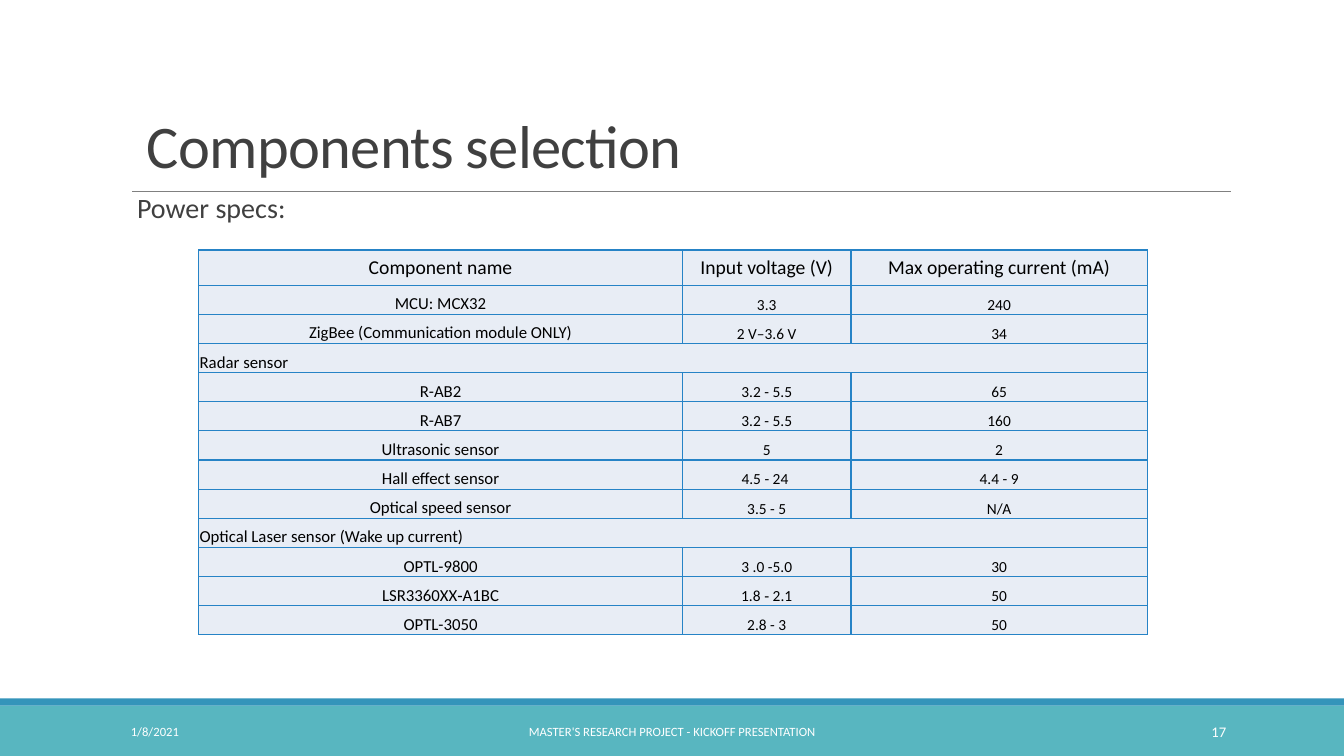
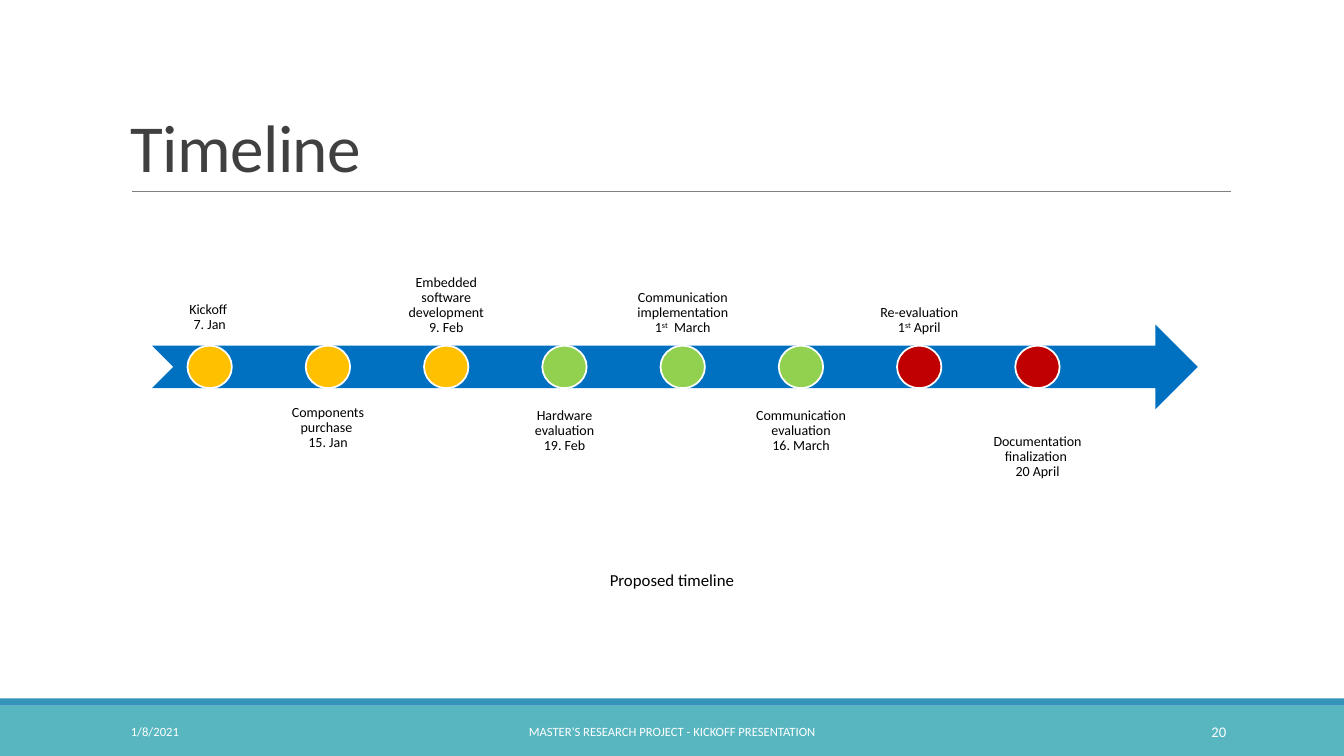
import pptx
import pptx.dml.color
import pptx.enum.shapes
import pptx.enum.text
import pptx.oxml
import pptx.oxml.ns
import pptx.util
from pptx.util import Inches

SHAPE = pptx.enum.shapes.MSO_SHAPE
ANCHOR = pptx.enum.text.MSO_ANCHOR
ALIGN = pptx.enum.text.PP_ALIGN

FONT = "Calibri"
BLACK, WHITE, INK, RULE = "000000", "FFFFFF", "404040", "808080"
TEAL, BLUE = "58B6C0", "3494BA"
CELL_FILL, CELL_BORDER = "E8EDF5", "2683C6"
ARROW, AMBER, GREEN, RED = "0070C0", "FFC000", "92D050", "C00000"

DATE = "1/8/2021"
FOOTER = "MASTER'S RESEARCH PROJECT - KICKOFF PRESENTATION"

# A row with a single entry is a group heading across all columns.
POWER_SPECS = [
    ("Component name", "Input voltage (V)", "Max operating current (mA)"),
    ("MCU: MCX32", "3.3", "240"),
    ("ZigBee (Communication module ONLY)", "2 V–3.6 V", "34"),
    ("Radar sensor",),
    ("R-AB2", "3.2 - 5.5", "65"),
    ("R-AB7", "3.2 - 5.5", "160"),
    ("Ultrasonic sensor", "5", "2"),
    ("Hall effect sensor", "4.5 - 24 ", "4.4 - 9"),
    ("Optical speed sensor", "3.5 - 5", "N/A"),
    ("Optical Laser sensor (Wake up current)",),
    ("OPTL-9800", "3 .0 -5.0", "30"),
    ("LSR3360XX‐A1BC", "1.8 ‐ 2.1", "50"),
    ("OPTL-3050", "2.8 - 3", "50"),
]
COLUMN_WIDTHS = (4.8, 1.67, 2.94)
TABLE_HEIGHT, HEADER_HEIGHT = 3.82, 0.35

# Label (^ encloses superscript), dot colour, vertical shift of the label.
MILESTONES = [
    ("Kickoff \n7. Jan", AMBER, -0.03),
    ("Components purchase \n15. Jan", AMBER, -0.03),
    ("Embedded software development\n9. Feb", AMBER, 0),
    ("Hardware evaluation\n19. Feb", GREEN, 0),
    ("Communication implementation\n1^st^  March", GREEN, 0),
    ("Communication evaluation\n16. March", GREEN, 0),
    ("Re-evaluation\n1^st^ April", RED, 0),
    ("Documentation finalization \n20 April", RED, 0.26),
]
FIRST_LABEL, LAST_LABEL = 1.52, 9.73
LABEL_WIDTH, LABEL_HEIGHT = 1.12, 1
LABELS_ABOVE_END, LABELS_BELOW_START = 3.41, 3.97
DOT_WIDTH, DOT_HEIGHT, DOT_TOP = 0.44, 0.42, 3.43


def rgb(colour):
    return pptx.dml.color.RGBColor.from_string(colour)


def inches(values):
    return [Inches(value) for value in values]


def write(frame, text, size, colour, align=ALIGN.LEFT, line_spacing=None):
    """Fill the first paragraph; line feeds become breaks, ^ encloses superscript."""
    paragraph = frame.paragraphs[0]
    paragraph.alignment = align
    if line_spacing:
        paragraph.line_spacing = line_spacing
    font = paragraph.font
    font.name, font.size = FONT, pptx.util.Pt(size)
    font.color.rgb = rgb(colour)
    for line_index, line in enumerate(text.split("\n")):
        if line_index:
            paragraph.add_line_break()
        for part_index, part in enumerate(line.split("^")):
            run = paragraph.add_run()
            run.text = part
            if part_index % 2:
                run._r.get_or_add_rPr().set("baseline", "30000")
    return paragraph


def add_text(slide, box, text, size, colour, anchor=ANCHOR.TOP,
             margins=(0.1, 0.05), **style):
    frame = slide.shapes.add_textbox(*inches(box)).text_frame
    frame.word_wrap = True
    frame.vertical_anchor = anchor
    frame.margin_left = frame.margin_right = Inches(margins[0])
    frame.margin_top = frame.margin_bottom = Inches(margins[1])
    return write(frame, text, size, colour, **style)


def add_filled(slide, preset, box, fill, outline=None):
    shape = slide.shapes.add_shape(preset, *inches(box))
    shape.shadow.inherit = False
    shape.fill.solid()
    shape.fill.fore_color.rgb = rgb(fill)
    if outline:
        shape.line.color.rgb = rgb(outline)
        shape.line.width = pptx.util.Pt(1.25)
    else:
        shape.line.fill.background()


def add_base_slide(deck, title, title_box, title_size, title_anchor, number):
    """Add a slide with the shared bands, title, rule and footer."""
    slide = deck.slides.add_slide(deck.slide_layouts[6])
    add_filled(slide, SHAPE.RECTANGLE, (0, 7, 13.33, 0.5), TEAL)
    add_filled(slide, SHAPE.RECTANGLE, (0, 6.93, 13.33, 0.07), BLUE)
    rule = slide.shapes.add_connector(
        pptx.enum.shapes.MSO_CONNECTOR.STRAIGHT, *inches((1.31, 1.9, 12.21, 1.9)))
    rule.line.color.rgb = rgb(RULE)
    rule.line.width = pptx.util.Pt(0.5)
    rule._element.spPr.append(pptx.oxml.parse_xml(
        f"<a:effectLst {pptx.oxml.ns.nsdecls('a')}/>"))

    heading = add_text(slide, title_box, title, title_size, INK,
                       anchor=title_anchor, line_spacing=0.85)
    for run in heading.runs:
        run._r.get_or_add_rPr().set("spc", "-50")

    for left, width, text, size, align in (
            (1.2, 2.7, DATE, 9, ALIGN.LEFT),
            (4.03, 5.27, FOOTER, 9, ALIGN.CENTER),
            (10.83, 1.43, number, 10.5, ALIGN.RIGHT)):
        add_text(slide, (left, 7.06, width, 0.4), text, size, WHITE,
                 anchor=ANCHOR.MIDDLE, align=align)
    return slide


def style_cell(cell, anchor):
    cell.vertical_anchor = anchor
    cell.margin_left = cell.margin_right = cell.margin_top = Inches(0.01)
    cell.margin_bottom = 0
    properties = cell._tc.get_or_add_tcPr()
    for side in ("lnL", "lnR", "lnT", "lnB"):
        properties.append(pptx.oxml.parse_xml(
            f"<a:{side} {pptx.oxml.ns.nsdecls('a')} w='12700'><a:solidFill>"
            f"<a:srgbClr val='{CELL_BORDER}'/></a:solidFill></a:{side}>"))
    cell.fill.solid()
    cell.fill.fore_color.rgb = rgb(CELL_FILL)


def add_power_table(slide):
    row_count, column_count = len(POWER_SPECS), len(COLUMN_WIDTHS)
    table = slide.shapes.add_table(
        row_count, column_count,
        *inches((1.97, 2.48, sum(COLUMN_WIDTHS), TABLE_HEIGHT))).table
    for column, width in zip(table.columns, COLUMN_WIDTHS):
        column.width = Inches(width)
    body_height = (TABLE_HEIGHT - HEADER_HEIGHT) / (row_count - 1)

    for row, entries in enumerate(POWER_SPECS):
        is_header, is_group = row == 0, len(entries) == 1
        table.rows[row].height = Inches(HEADER_HEIGHT if is_header else body_height)
        for column in range(column_count):
            style_cell(table.cell(row, column),
                       ANCHOR.MIDDLE if is_header else ANCHOR.BOTTOM)
        if is_group:
            table.cell(row, 0).merge(table.cell(row, column_count - 1))
        for column, entry in enumerate(entries):
            size = 14 if is_header else 11 if column else 12
            write(table.cell(row, column).text_frame, entry, size, BLACK,
                  align=ALIGN.LEFT if is_group else ALIGN.CENTER)


def add_timeline(slide):
    """Draw the arrow and its dots, with labels alternately above and below."""
    add_filled(slide, SHAPE.NOTCHED_RIGHT_ARROW, (1.51, 3.22, 10.37, 0.84), ARROW)
    pitch = (LAST_LABEL - FIRST_LABEL) / (len(MILESTONES) - 1)
    for index, (label, colour, shift) in enumerate(MILESTONES):
        left = FIRST_LABEL + index * pitch
        above = index % 2 == 0
        top = LABELS_ABOVE_END - LABEL_HEIGHT if above else LABELS_BELOW_START
        add_text(slide, (left, top + shift, LABEL_WIDTH, LABEL_HEIGHT), label,
                 10, BLACK, anchor=ANCHOR.BOTTOM if above else ANCHOR.TOP,
                 margins=(0.08, 0.08), align=ALIGN.CENTER, line_spacing=0.9)
        dot_left = left + (LABEL_WIDTH - DOT_WIDTH) / 2
        add_filled(slide, SHAPE.OVAL, (dot_left, DOT_TOP, DOT_WIDTH, DOT_HEIGHT),
                   colour, outline=WHITE)


def main():
    deck = pptx.Presentation()
    deck.slide_width, deck.slide_height = inches((13.33, 7.5))

    components = add_base_slide(deck, "Components selection", (1.36, 1.13, 9.4, 0.7),
                                43.2, ANCHOR.TOP, "17")
    add_text(components, (1.36, 1.88, 9.4, 0.45), "Power specs:", 20, INK,
             margins=(0, 0.05), line_spacing=0.9)
    add_power_table(components)

    timeline = add_base_slide(deck, "Timeline", (1.2, 0.31, 11, 1.59),
                              48, ANCHOR.BOTTOM, "20")
    add_timeline(timeline)
    add_text(timeline, (5.58, 5.6, 2.17, 0.3), "Proposed timeline", 12, BLACK,
             align=ALIGN.CENTER)

    deck.save("out.pptx")


if __name__ == "__main__":
    main()
